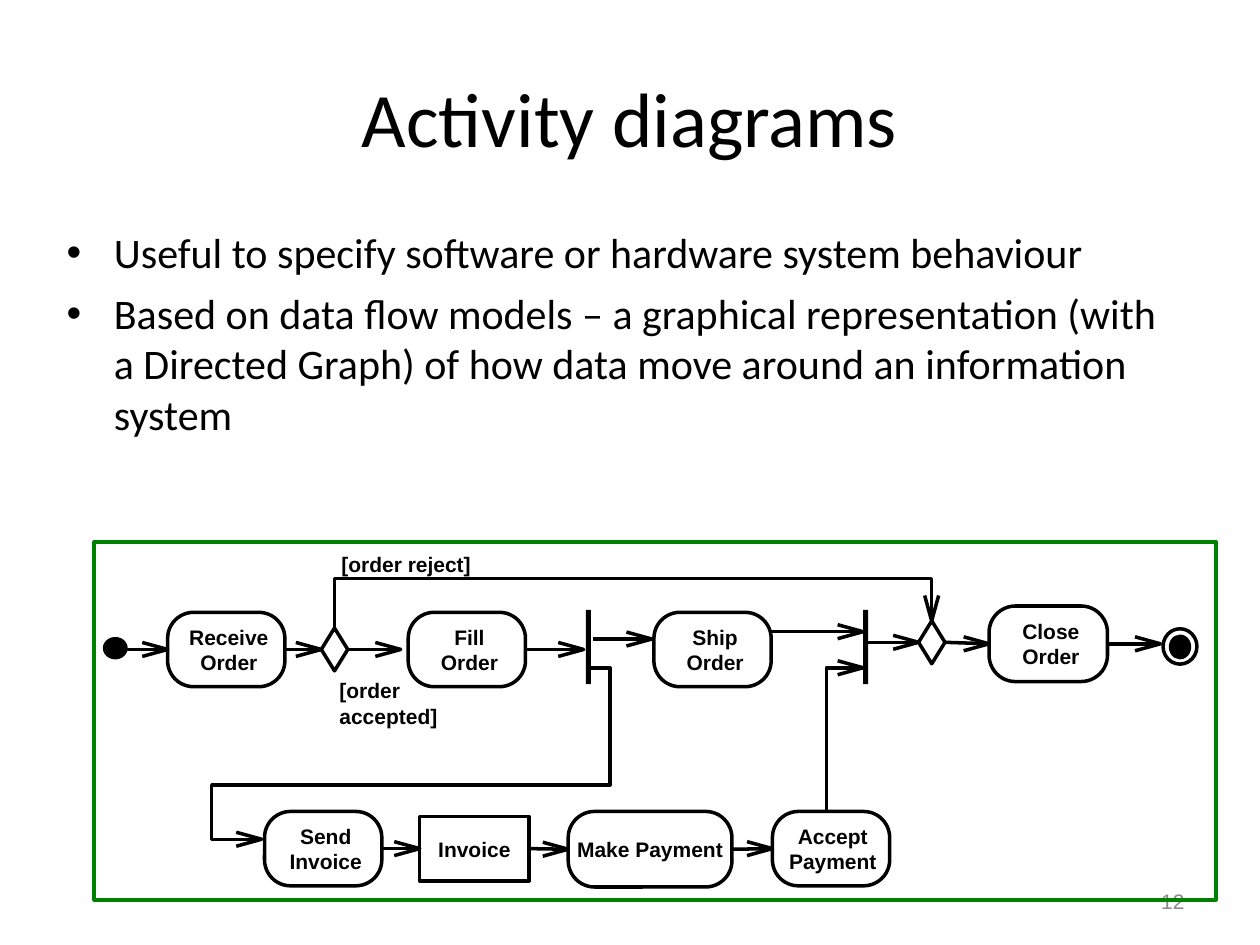
from lxml import etree
from pptx import Presentation
from pptx.dml.color import RGBColor
from pptx.enum.shapes import MSO_CONNECTOR, MSO_SHAPE
from pptx.enum.text import MSO_ANCHOR, PP_ALIGN
from pptx.oxml.ns import qn
from pptx.util import Pt

BLACK = RGBColor(0x00, 0x00, 0x00)
WHITE = RGBColor(0xFF, 0xFF, 0xFF)
GREEN = RGBColor(0x00, 0x80, 0x00)
GRAY = RGBColor(0x89, 0x89, 0x89)
RECT, ROUNDED = MSO_SHAPE.RECTANGLE, MSO_SHAPE.ROUNDED_RECTANGLE
OVAL, DIAMOND = MSO_SHAPE.OVAL, MSO_SHAPE.DIAMOND
STRAIGHT = MSO_CONNECTOR.STRAIGHT
CENTER, RIGHT = PP_ALIGN.CENTER, PP_ALIGN.RIGHT
MIDDLE = MSO_ANCHOR.MIDDLE
LEFT_SIDE, RIGHT_SIDE = 1, 3
HEAD_LENGTH, HEAD_HALF_WIDTH = 14.5, 4


def style_font(font, size, name, color, bold=False):
    font.size, font.name, font.bold = Pt(size), name, bold
    font.color.rgb = color


def write_lines(tf, text, size, name, color, bold=False, align=None):
    tf.text = text
    for p in tf.paragraphs:
        p.alignment = align
        for r in p.runs:
            style_font(r.font, size, name, color, bold)


def add_title(s, box, text):
    title = s.shapes.title
    title.left, title.top, title.width, title.height = map(Pt, box)
    title.text_frame.vertical_anchor = MIDDLE
    write_lines(title.text_frame, text, 44, "Calibri", BLACK, align=CENTER)


def add_bullets(s, box, items):
    tf = s.shapes.add_textbox(*map(Pt, box)).text_frame
    tf.word_wrap = True
    write_lines(tf, "\n".join(items), 24, "Calibri", BLACK)
    for i, p in enumerate(tf.paragraphs):
        p.space_before = Pt(6 if i else 0)
        pPr = p._p.get_or_add_pPr()
        pPr.set("marL", str(Pt(27)))
        pPr.set("indent", str(Pt(-27)))
        etree.SubElement(pPr, qn("a:buFont"), typeface="Arial")
        etree.SubElement(pPr, qn("a:buChar"), char="•")


def add_page_number(s, box, number):
    tf = s.shapes.add_textbox(*map(Pt, box)).text_frame
    tf.word_wrap = True
    tf.vertical_anchor = MIDDLE
    write_lines(tf, number, 12, "Arial", GRAY, align=RIGHT)


def add_activity_diagram(s, box):
    left, top, width, height = box

    def at(x, y):
        return Pt(left + x), Pt(top + y)

    def add_part(kind, x, y, w, h, fill=None, line=BLACK, weight=2):
        sp = s.shapes.add_shape(kind, *at(x, y), Pt(w), Pt(h))
        sp.shadow.inherit = False
        if fill is None:
            sp.fill.background()
        else:
            sp.fill.solid()
            sp.fill.fore_color.rgb = fill
        if line is None:
            sp.line.fill.background()
        else:
            sp.line.color.rgb = line
            sp.line.width = Pt(weight)
        return sp

    def add_node(text, x, y, w=67, h=42.5, kind=ROUNDED, fill=None, inset=3):
        sp = add_part(kind, x, y, w, h, fill)
        if kind == ROUNDED:
            sp.adjustments[0] = 0.35
        tf = sp.text_frame
        tf.margin_left = Pt(inset)
        tf.margin_right = tf.margin_top = tf.margin_bottom = 0
        tf.word_wrap = False
        tf.vertical_anchor = MIDDLE
        write_lines(tf, text, 12, "Arial", BLACK, True, CENTER)
        return sp

    def add_label(text, x, y, w, h):
        tf = s.shapes.add_textbox(*at(x, y), Pt(w), Pt(h)).text_frame
        tf.margin_left = tf.margin_right = tf.margin_top = tf.margin_bottom = 0
        tf.word_wrap = False
        write_lines(tf, text, 12, "Arial", BLACK, True)

    def add_polyline(first, *rest):
        builder = s.shapes.build_freeform(*first)
        builder.add_line_segments(rest, close=False)
        sp = builder.convert_to_shape()
        sp.shadow.inherit = False
        sp.fill.background()
        sp.line.color.rgb = BLACK
        sp.line.width = Pt(2)

    def add_head(x, y, down=False):
        back, side = Pt(HEAD_LENGTH), Pt(HEAD_HALF_WIDTH)
        if down:
            add_polyline((x + side, y - back), (x, y), (x - side, y - back))
        else:
            add_polyline((x - back, y - side), (x, y), (x - back, y + side))

    def add_arrow(start, end):
        begin_at, end_at = [at(*e) if isinstance(e, tuple) else (0, 0)
                            for e in (start, end)]
        cx = s.shapes.add_connector(STRAIGHT, *begin_at, *end_at)
        if not isinstance(start, tuple):
            cx.begin_connect(start, RIGHT_SIDE)
        if not isinstance(end, tuple):
            cx.end_connect(end, LEFT_SIDE)
        cx.line.color.rgb = BLACK
        cx.line.width = Pt(2)
        etree.SubElement(cx._element.spPr, qn("a:effectLst"))
        add_head(cx.end_x, cx.end_y)

    def add_bent_arrow(*points, down=False):
        corners = [at(*point) for point in points]
        add_polyline(*corners)
        add_head(*corners[-1], down)

    receive = add_node("Receive\nOrder", 41.8, 40.3)
    fill_order = add_node("Fill\nOrder", 179.3, 40.3)
    add_node("Ship\nOrder", 319.7, 40.3)
    close = add_node("Close\nOrder", 511.2, 36.7, 67.7, 43.2)
    send = add_node("Send\nInvoice", 97.2, 154.1)
    invoice = add_node("Invoice", 185.8, 157, 62.6, 36.7, RECT, WHITE, 0)
    make = add_node("Make Payment", 270.7, 154.1, 93.6, 43.2, inset=0)
    accept = add_node("Accept\nPayment", 387.4, 154.1, inset=2)

    add_part(OVAL, 5.8, 55.4, 12.2, 10.8, BLACK)
    add_part(OVAL, 614.9, 54, 10.8, 12.2, BLACK)
    add_part(OVAL, 610.6, 49.7, 19.4, 20.2)
    for bar_x in (280.8, 439.2):
        add_part(RECT, bar_x, 38.9, 2.9, 42.5, BLACK, None)
    decision = add_part(DIAMOND, 129.6, 49.3, 15.1, 24.5)
    merge = add_part(DIAMOND, 470.9, 45.2, 15.1, 24.5)

    for start, end in [
        ((18, 61.55), receive),
        (receive, decision),
        (decision, (175, 61.55)),
        (fill_order, (279.5, 61.55)),
        ((285.1, 55.6), (318.5, 55.6)),
        ((386, 51.4), (439.2, 51.4)),
        ((442.1, 57.45), merge),
        (merge, close),
        (close, (609.1, 58.3)),
        (send, invoice),
        (invoice, make),
        (make, accept),
    ]:
        add_arrow(start, end)

    add_bent_arrow((137.1, 49.3), (137.1, 20.9), (478.4, 20.9),
                   (478.4, 45.2), down=True)
    add_bent_arrow((283.7, 72), (294.5, 72), (294.5, 139), (67, 139),
                   (67, 170), (95.5, 170))
    add_bent_arrow((418.3, 154.1), (418.3, 72), (439.2, 72))

    add_label("[order reject]", 141.1, 5.8, 74, 14)
    add_label("[order\naccepted]", 140, 77.8, 56, 28)
    add_part(RECT, 0, 0, width, height, line=GREEN, weight=2.25)


def main():
    prs = Presentation()
    prs.slide_width, prs.slide_height = Pt(720), Pt(540)
    s = prs.slides.add_slide(prs.slide_layouts[5])
    add_title(s, (36, 21.6, 648, 90), "Activity diagrams")
    add_bullets(s, (31, 126, 648, 216), [
        "Useful to specify software or hardware system behaviour",
        "Based on data flow models – a graphical representation (with a "
        "Directed Graph) of how data move around an information system",
    ])
    add_page_number(s, (516.2, 500.4, 167.8, 28.8), "12")
    add_activity_diagram(s, (54, 309.6, 640.8, 204.5))
    prs.save("out.pptx")


if __name__ == "__main__":
    main()
